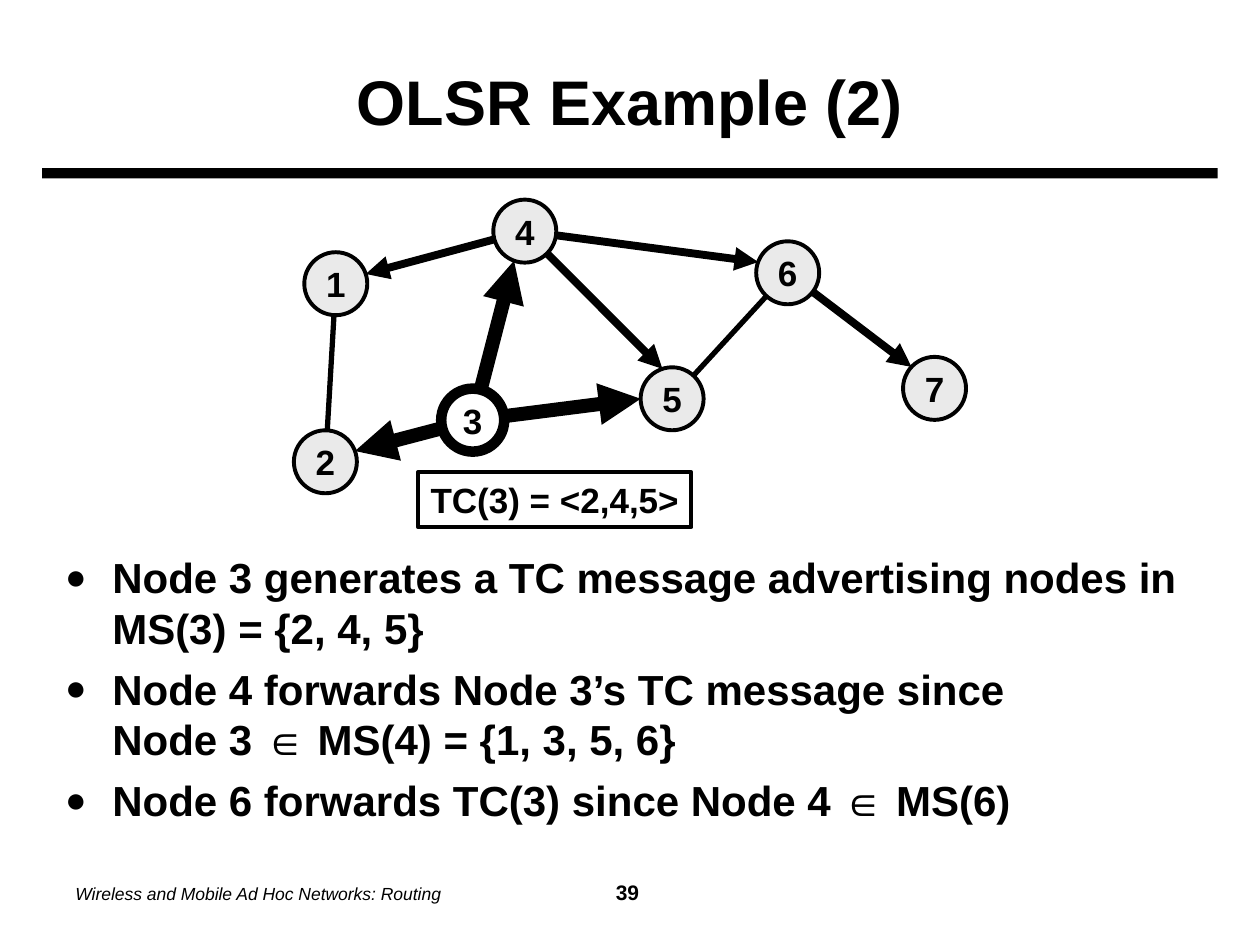
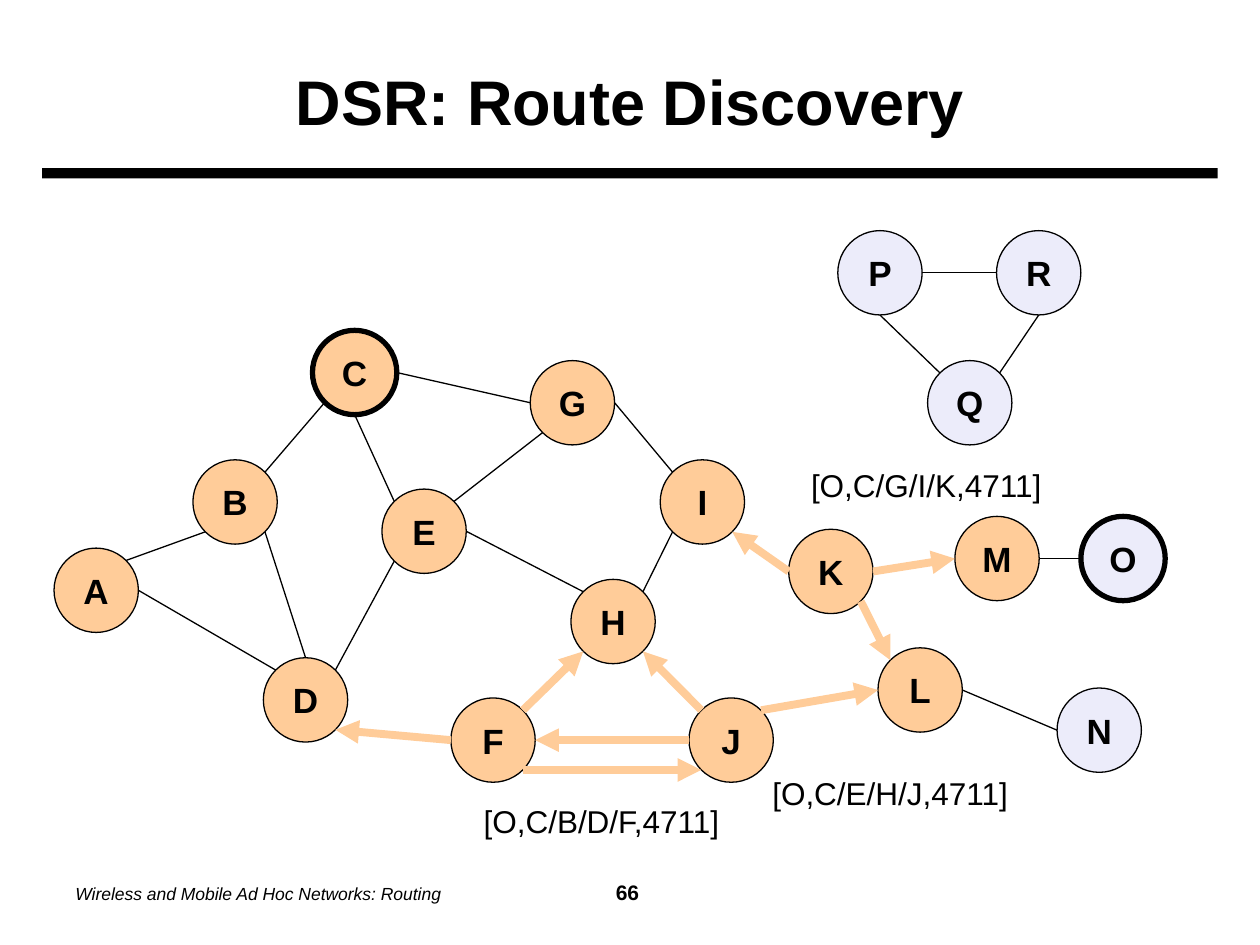
from math import cos, radians, sin

from lxml.etree import SubElement
from pptx import Presentation
from pptx.dml.color import RGBColor
from pptx.enum.shapes import MSO_CONNECTOR as Connector, MSO_SHAPE as Shape
from pptx.enum.text import MSO_ANCHOR as Anchor, MSO_AUTO_SIZE as AutoSize, PP_ALIGN as Align
from pptx.oxml.ns import qn
from pptx.util import Cm, Pt

BLACK = RGBColor(0x00, 0x00, 0x00)
WHITE = RGBColor(0xFF, 0xFF, 0xFF)
GREY = RGBColor(0xEA, 0xEA, 0xEA)
PEACH = RGBColor(0xFF, 0xCC, 0x99)
LAVENDER = RGBColor(0xEC, 0xEC, 0xFA)
FONT = "Arial"

FOOTER = "Wireless and Mobile Ad Hoc Networks: Routing"
E, SE, S, SW, W, NW, N, NE = range(0, 360, 45)

OLSR_POINTS = [
    "Node 3 generates a TC message advertising nodes in MS(3) = {2, 4, 5}",
    "Node 4 forwards Node 3’s TC message since\nNode 3 ∈ MS(4) = {1, 3, 5, 6}",
    "Node 6 forwards TC(3) since Node 4 ∈ MS(6)",
]
OLSR = {
    "diameter": 1.27,
    "nodes": {
        "1": (6.77, 5.72), "2": (6.56, 9.31), "3": (9.53, 8.47), "4": (10.58, 4.66),
        "5": (13.55, 8.04), "6": (15.88, 5.5), "7": (18.84, 7.83),
    },
    "fill": GREY,
    "special_fills": {"3": WHITE},
    "outline": 2.25,
    "special_outlines": {"3": 6},
    "edge_groups": [
        (BLACK, 3, False, [("1", None, "2", None), ("6", None, "5", None)]),
        (BLACK, 4.5, True, [
            ("4", None, "1", 342), ("4", None, "5", 252),
            ("4", None, "6", 200), ("6", None, "7", 223),
        ]),
        (BLACK, 8, True, [("3", None, "2", 340), ("3", None, "4", 110), ("3", None, "5", 180)]),
    ],
}

DSR = {
    "diameter": 1.7,
    "nodes": {
        "A": (1.94, 11.9), "B": (4.74, 10.12), "C": (7.15, 7.51), "D": (6.16, 14.11),
        "E": (8.55, 10.71), "F": (9.94, 14.92), "G": (11.54, 8.12), "H": (12.36, 12.53),
        "I": (14.16, 10.12), "J": (14.74, 14.92), "K": (16.75, 11.52), "L": (18.55, 13.91),
        "M": (20.1, 11.26), "N": (22.16, 14.72), "O": (22.64, 11.26), "P": (17.74, 5.5),
        "Q": (19.55, 8.12), "R": (20.94, 5.5),
    },
    "fill": PEACH,
    "special_fills": dict.fromkeys("NOPQR", LAVENDER),
    "outline": 0.75,
    "special_outlines": {"C": 3, "O": 3},
    "edge_groups": [
        (BLACK, 0.75, False, [
            ("A", NE, "B", SW), ("A", E, "D", NW), ("B", SE, "D", N), ("B", NE, "C", SW),
            ("C", S, "E", NW), ("C", E, "G", W), ("E", NE, "G", SW), ("E", E, "H", NW),
            ("E", SW, "D", NE), ("G", E, "I", NW), ("I", SW, "H", NE), ("L", E, "N", W),
            ("M", E, "O", W), ("P", S, "Q", NW), ("P", E, "R", W), ("Q", NE, "R", S),
        ]),
        (PEACH, 4.5, True, [
            ("F", W, "D", SE), ("F", NE, "H", SW), ("F", SE, "J", SW), ("J", W, "F", E),
            ("J", NW, "H", SE), ("J", NE, "L", W), ("K", W, "I", SE), ("K", E, "M", W),
            ("K", SE, "L", NW),
        ]),
    ],
}
ROUTES = [
    ("[O,C/B/D/F,4711]", 9.5, 16.05, 5.36),
    ("[O,C/G/I/K,4711]", 16.1, 9.27, 5.21),
    ("[O,C/E/H/J,4711]", 15.32, 15.47, 5.31),
]


def add_text(para, text, size, bold=False, italic=False):
    for index, line in enumerate(text.split("\n")):
        if index:
            para.add_line_break()
        span = para.add_run()
        span.text = line
        span.font.name = FONT
        span.font.size = Pt(size)
        span.font.bold = bold
        span.font.italic = italic
        span.font.color.rgb = BLACK


def place(shape, left, top, width, height):
    shape.left, shape.top, shape.width, shape.height = map(Cm, (left, top, width, height))


def add_label(page, text, left, top, width, height, size, bold=False):
    box = page.shapes.add_textbox(Cm(left), Cm(top), Cm(width), Cm(height))
    box.text_frame.word_wrap = False
    add_text(box.text_frame.paragraphs[0], text, size, bold)
    return box


def add_page(deck, layout_index, title, number):
    page = deck.slides.add_slide(deck.slide_layouts[layout_index])
    heading = page.shapes.title
    place(heading, 1.27, 0.64, 22.86, 2.75)
    frame = heading.text_frame
    frame.auto_size = AutoSize.NONE
    frame.vertical_anchor = Anchor.MIDDLE
    frame.paragraphs[0].alignment = Align.CENTER
    add_text(frame.paragraphs[0], title, 36, bold=True)

    band = page.shapes.add_shape(Shape.RECTANGLE, Cm(0.85), Cm(3.39), Cm(23.7), Cm(0.21))
    band.shadow.inherit = False
    band.fill.solid()
    band.fill.fore_color.rgb = BLACK
    band.line.fill.background()

    footer = add_label(page, FOOTER, 1.27, 17.36, 22.86, 1.27, 10)
    footer.text_frame.vertical_anchor = Anchor.MIDDLE
    para = footer.text_frame.paragraphs[0]
    para.runs[0].font.italic = True
    tabs = SubElement(para._p.get_or_add_pPr(), qn("a:tabLst"))
    SubElement(tabs, qn("a:tab"), pos=str(Cm(11.13)), algn="ctr")
    add_text(para, f"\t{number}", 12, bold=True)
    return page


def add_bullets(page, points):
    body = page.placeholders[1]
    place(body, 1.06, 11, 23.07, 6.14)
    frame = body.text_frame
    frame.auto_size = AutoSize.NONE
    for index, point in enumerate(points):
        para = frame.add_paragraph() if index else frame.paragraphs[0]
        properties = para._p.get_or_add_pPr()
        properties.set("marL", str(Cm(0.95)))
        properties.set("indent", str(-Cm(0.95)))
        color = SubElement(properties, qn("a:buClr"))
        SubElement(color, qn("a:srgbClr"), val=str(BLACK))
        SubElement(properties, qn("a:buSzPct"), val="85000")
        SubElement(properties, qn("a:buFont"), typeface=FONT)
        SubElement(properties, qn("a:buChar"), char="●")
        para.space_before = Pt(6 if index else 0)
        add_text(para, point, 24, bold=True)


def add_nodes(page, graph):
    diameter = graph["diameter"]
    for name, (x, y) in graph["nodes"].items():
        node = page.shapes.add_shape(
            Shape.OVAL, Cm(x - diameter / 2), Cm(y - diameter / 2), Cm(diameter), Cm(diameter))
        node.shadow.inherit = False
        node.fill.solid()
        node.fill.fore_color.rgb = graph["special_fills"].get(name, graph["fill"])
        node.line.color.rgb = BLACK
        node.line.width = Pt(graph["special_outlines"].get(name, graph["outline"]))
        frame = node.text_frame
        frame.word_wrap = False
        frame.vertical_anchor = Anchor.MIDDLE
        frame.paragraphs[0].alignment = Align.CENTER
        add_text(frame.paragraphs[0], name, 20, bold=True)


def edge_point(graph, name, angle):
    x, y = graph["nodes"][name]
    if angle is not None:
        x += graph["diameter"] / 2 * cos(radians(angle))
        y += graph["diameter"] / 2 * sin(radians(angle))
    return Cm(x), Cm(y)


def add_edges(page, graph):
    for color, width, arrow, edges in graph["edge_groups"]:
        for start, start_angle, end, end_angle in edges:
            edge = page.shapes.add_connector(
                Connector.STRAIGHT,
                *edge_point(graph, start, start_angle), *edge_point(graph, end, end_angle))
            edge.line.color.rgb = color
            edge.line.width = Pt(width)
            properties = edge._element.spPr
            if arrow:
                SubElement(properties.find(qn("a:ln")), qn("a:tailEnd"), type="triangle")
            SubElement(properties, qn("a:effectLst"))


def main():
    deck = Presentation()
    deck.slide_width, deck.slide_height = Cm(25.4), Cm(19.05)

    page = add_page(deck, 1, "OLSR Example (2)", 39)
    add_bullets(page, OLSR_POINTS)
    add_edges(page, OLSR)
    add_nodes(page, OLSR)
    message = add_label(page, "TC(3) = <2,4,5>", 8.43, 9.52, 5.51, 1.11, 20, bold=True)
    message.line.color.rgb = BLACK
    message.line.width = Pt(2.25)

    page = add_page(deck, 5, "DSR: Route Discovery", 66)
    add_nodes(page, DSR)
    add_edges(page, DSR)
    for text, left, top, width in ROUTES:
        add_label(page, text, left, top, width, 1.02, 18)

    deck.save("out.pptx")


if __name__ == "__main__":
    main()
